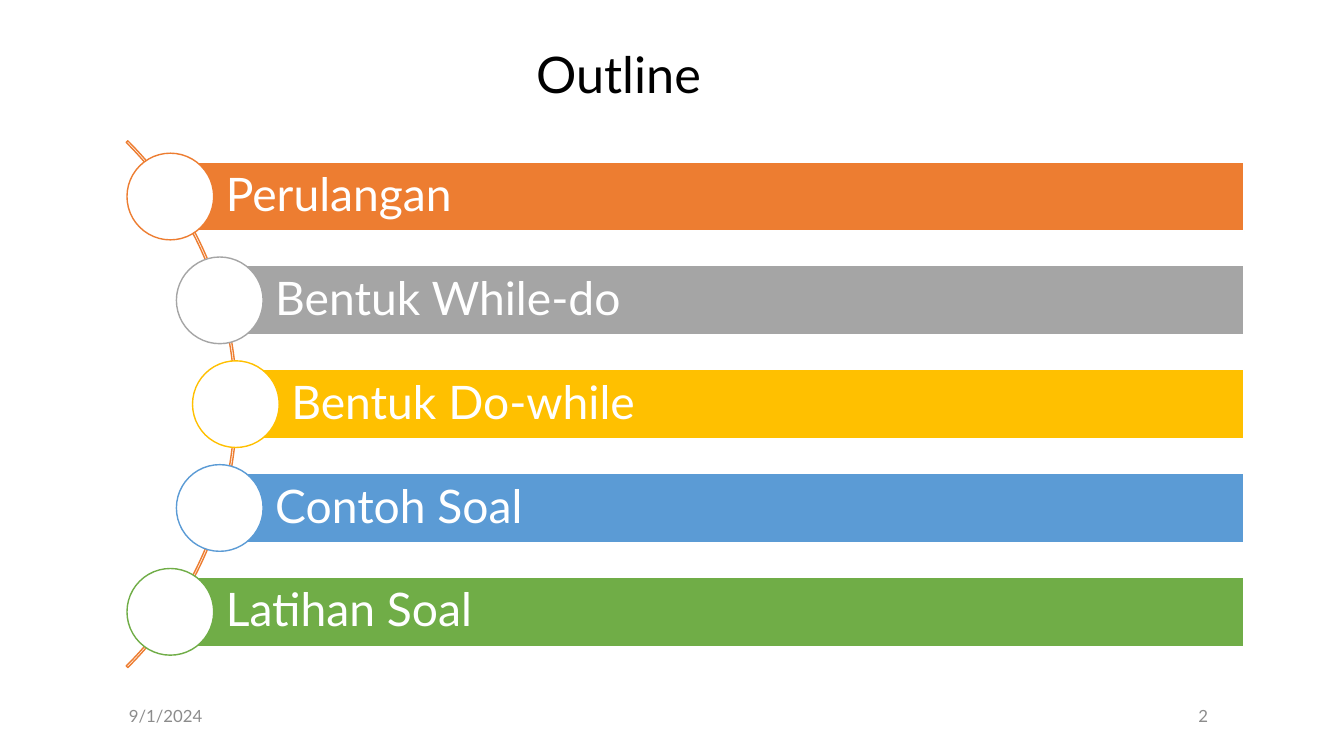
from pptx import Presentation
from pptx.dml.color import RGBColor
from pptx.enum.shapes import MSO_SHAPE as Shape
from pptx.enum.text import MSO_ANCHOR as Anchor, PP_ALIGN as Align
from pptx.util import Inches, Pt

FONT = "Lato"
WHITE, BLACK, GREY, ORANGE = "FFFFFF", "000000", "8C8C8C", "ED7D31"
TOPICS = [
    ("Perulangan", ORANGE),
    ("Bentuk While-do", "A5A5A5"),
    ("Bentuk Do-while", "FFC000"),
    ("Contoh Soal", "5B9BD5"),
    ("Latihan Soal", "70AD47"),
]
INDENTS = [0, 0.49, 0.65, 0.49, 0]  # steps that follow the arc


def rgb(value):
    return RGBColor.from_string(value)


def write(tf, text, size, color, align=Align.LEFT, spacing=1.0):
    tf.word_wrap = True
    tf.vertical_anchor = Anchor.MIDDLE
    p = tf.paragraphs[0]
    p.alignment = align
    p.line_spacing = spacing
    r = p.add_run()
    r.text = text
    r.font.size = Pt(size)
    r.font.name = FONT
    r.font.color.rgb = rgb(color)


def add_text(s, box, text, size, color, align=Align.LEFT, spacing=1.0):
    tb = s.shapes.add_textbox(*map(Inches, box))
    write(tb.text_frame, text, size, color, align, spacing)


def add_shape(s, kind, box, line, fill=None):
    sp = s.shapes.add_shape(kind, *map(Inches, box))
    sp.shadow.inherit = False
    if fill:
        sp.fill.solid()
        sp.fill.fore_color.rgb = rgb(fill)
    else:
        sp.fill.background()
    sp.line.color.rgb = rgb(line)
    sp.line.width = Pt(1)
    return sp


def add_topic(s, x, y, w, h, text, color):
    """A bar whose left edge starts at the centre of a circle of height h."""
    bar_h = 0.8 * h
    bar = add_shape(s, Shape.RECTANGLE,
                    (x + h / 2, y + (h - bar_h) / 2, w - h / 2, bar_h), WHITE, color)
    tf = bar.text_frame
    tf.margin_left = Inches(0.55)
    tf.margin_right = tf.margin_top = tf.margin_bottom = Inches(0.09)
    write(tf, text, 33, WHITE, spacing=0.9)
    add_shape(s, Shape.OVAL, (x, y, h, h), color, WHITE)


def add_outline(s, x, y, w, h):
    arc_d, circle_d = 7.39, 0.86
    arc = add_shape(s, Shape.BLOCK_ARC,
                    (x - 6.3, y + (h - arc_d) / 2, arc_d, arc_d), ORANGE)
    for i, value in enumerate((189, 27, 0.003)):
        arc.adjustments[i] = value
    pitch = (h - circle_d) / (len(TOPICS) - 1)
    for i, ((text, color), indent) in enumerate(zip(TOPICS, INDENTS)):
        add_topic(s, x + indent, y + i * pitch, w - indent, circle_d, text, color)


def add_footer(s, x, y, w, h):
    add_text(s, (x, y, 1.51, h), "9/1/2024", 12, GREY)
    add_text(s, (x + 1.57, y, w - 1.57, h), "2", 12, GREY, Align.RIGHT)


def main():
    prs = Presentation()
    prs.slide_width, prs.slide_height = Inches(13.33), Inches(7.5)
    s = prs.slides.add_slide(prs.slide_layouts[6])
    add_outline(s, 1.26, 1.52, 11.08, 4.98)
    add_footer(s, 1.18, 6.9, 10.9, 0.4)
    add_text(s, (1.18, 0.4, 9.91, 0.74), "Outline", 36, BLACK, Align.CENTER, 0.9)
    prs.save("out.pptx")


if __name__ == "__main__":
    main()
